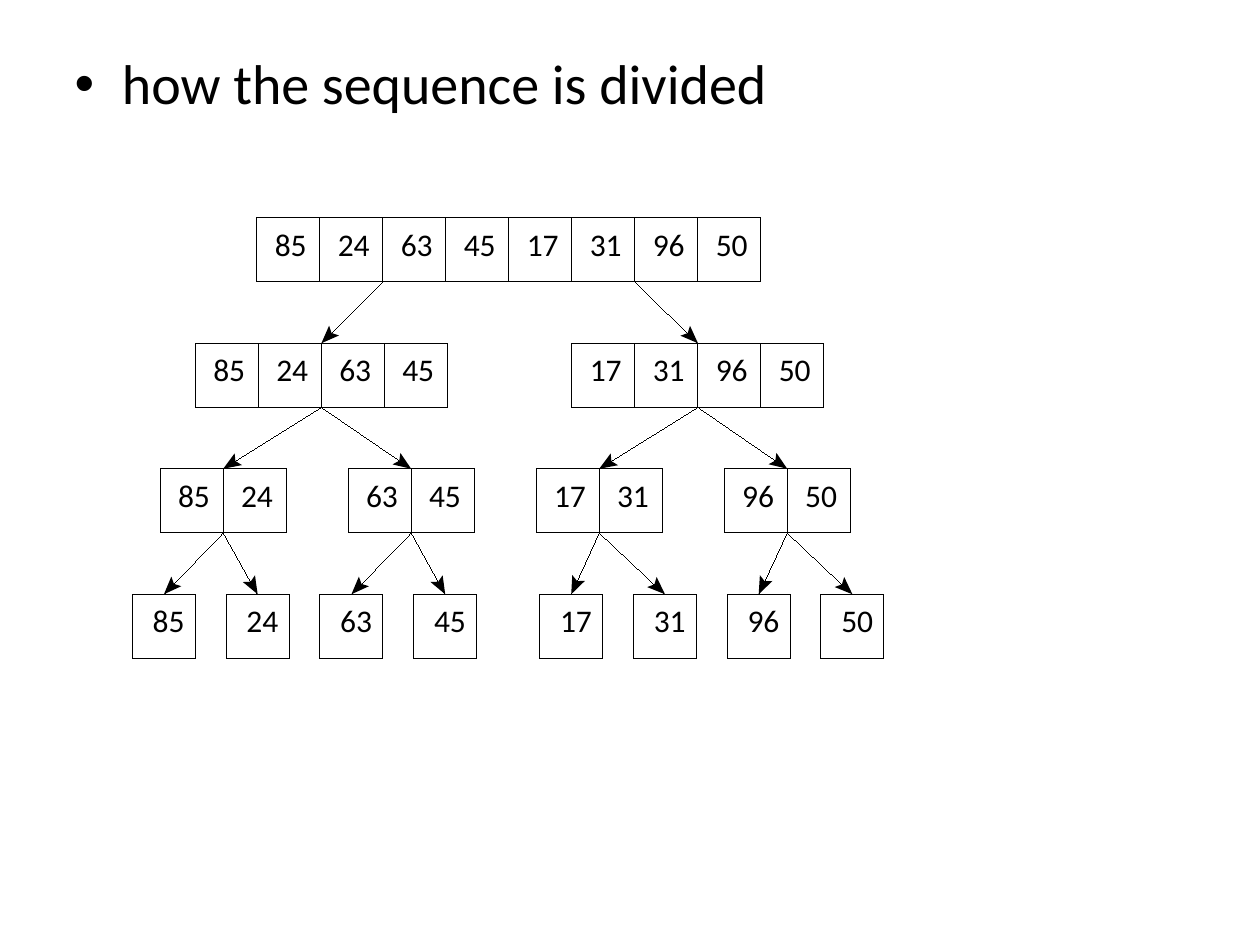
from math import hypot
from lxml.etree import SubElement as SubEl
from pptx import Presentation as Deck
from pptx.dml.color import RGBColor as Rgb
from pptx.enum.shapes import MSO_CONNECTOR as Link, MSO_SHAPE as Form
from pptx.enum.text import MSO_ANCHOR as Anchor, MSO_AUTO_SIZE as Fit
from pptx.oxml.ns import qn
from pptx.util import Cm, Pt

COLORS = {"ink": "000000"}
FONT = "Calibri"
HAIR = Pt(0.01)
VALUES = [85, 24, 63, 45, 17, 31, 96, 50]

# Tree geometry, in cm
TOP, STEP = 4.39, 2.53
CELL, HIGH = 1.27, 1.29
LEFTS = [
    [5.18],
    [3.94, 11.53],
    [3.23 + 3.79 * i for i in range(4)],
    [start + 1.89 * i for start in (2.67, 10.88) for i in range(4)],
]

# Arrowhead outline: distance behind the tip and to the side, in cm
BARB = [(0.36, 0.14), (0.29, 0), (0.36, -0.14)]


def ink():
    return Rgb.from_string(COLORS["ink"])


def add_run(para, text, size):
    run = para.add_run()
    run.text = text
    run.font.name = FONT
    run.font.size = Pt(size)
    run.font.color.rgb = ink()


def add_head(slide, text):
    slide.shapes.title.element.getparent().remove(slide.shapes.title.element)
    body = slide.placeholders[1]
    body.left, body.top = Cm(1.25), Cm(0.86)
    body.width, body.height = Cm(22.86), Cm(16.18)
    body.text_frame.vertical_anchor = Anchor.TOP
    para = body.text_frame.paragraphs[0]
    para.space_before = Pt(0)
    add_run(para, text, 32)


def add_line(slide, x1, y1, x2, y2):
    line = slide.shapes.add_connector(
        Link.STRAIGHT, Cm(x1), Cm(y1), Cm(x2), Cm(y2))
    line.line.color.rgb = ink()
    line.line.width = HAIR
    SubEl(line.element.spPr, qn("a:effectLst"))
    return line


def add_tip(slide, x1, y1, x2, y2):
    """Notched arrowhead at the second point."""
    size = hypot(x2 - x1, y2 - y1)
    dx, dy = (x2 - x1) / size, (y2 - y1) / size
    pen = slide.shapes.build_freeform(Cm(x2), Cm(y2))
    pen.add_line_segments([
        (Cm(x2 - back * dx - side * dy), Cm(y2 - back * dy + side * dx))
        for back, side in BARB])
    tip = pen.convert_to_shape()
    tip.shadow.inherit = False
    tip.fill.solid()
    tip.fill.fore_color.rgb = ink()
    tip.line.fill.background()


def add_num(slide, x, y, num):
    box = slide.shapes.add_textbox(Cm(x), Cm(y), Cm(0.66), Cm(0.76))
    frame = box.text_frame
    frame.margin_left = frame.margin_right = 0
    frame.margin_top = frame.margin_bottom = 0
    frame.word_wrap = False
    frame.auto_size = Fit.SHAPE_TO_FIT_TEXT
    add_run(frame.paragraphs[0], str(num), 18)


def add_row(slide, x, y, nums):
    """One outlined list of numbers, split into equal cells."""
    box = slide.shapes.add_shape(
        Form.RECTANGLE, Cm(x), Cm(y), Cm(CELL * len(nums)), Cm(HIGH))
    box.shadow.inherit = False
    box.fill.background()
    box.line.color.rgb = ink()
    box.line.width = HAIR
    pad = 0.41 if len(nums) == 1 else 0.36
    for i, num in enumerate(nums):
        left = x + CELL * i
        if i:
            add_line(slide, left, y, left, y + HIGH)
        add_num(slide, left + pad, y + 0.14, num)
    return box


def add_split(slide, level, rows):
    """Arrows from each list of a level to its two halves."""
    count = len(VALUES) >> level
    foot = TOP + STEP * level + HIGH
    for i, left in enumerate(LEFTS[level]):
        for side in (0, 1):
            child = 2 * i + side
            # The top list splits at its quarters, the others at the middle
            part = (0.25 + 0.5 * side) if level == 0 else 0.5
            ends = (left + CELL * count * part, foot,
                    LEFTS[level + 1][child] + CELL * count / 4,
                    TOP + STEP * (level + 1))
            add_tip(slide, *ends)
            line = add_line(slide, *ends)
            if level:
                line.begin_connect(rows[level][i], 2)
            line.end_connect(rows[level + 1][child], 0)


def main():
    deck = Deck()
    deck.slide_width, deck.slide_height = Cm(25.4), Cm(19.05)
    slide = deck.slides.add_slide(deck.slide_layouts[1])
    add_head(slide, "how the sequence is divided")

    # Lists, level by level
    rows = []
    for level, lefts in enumerate(LEFTS):
        count = len(VALUES) >> level
        rows.append([
            add_row(slide, x, TOP + STEP * level,
                    VALUES[i * count:(i + 1) * count])
            for i, x in enumerate(lefts)])

    # Arrows between levels
    for level in range(len(LEFTS) - 1):
        add_split(slide, level, rows)

    deck.save("out.pptx")


if __name__ == "__main__":
    main()
